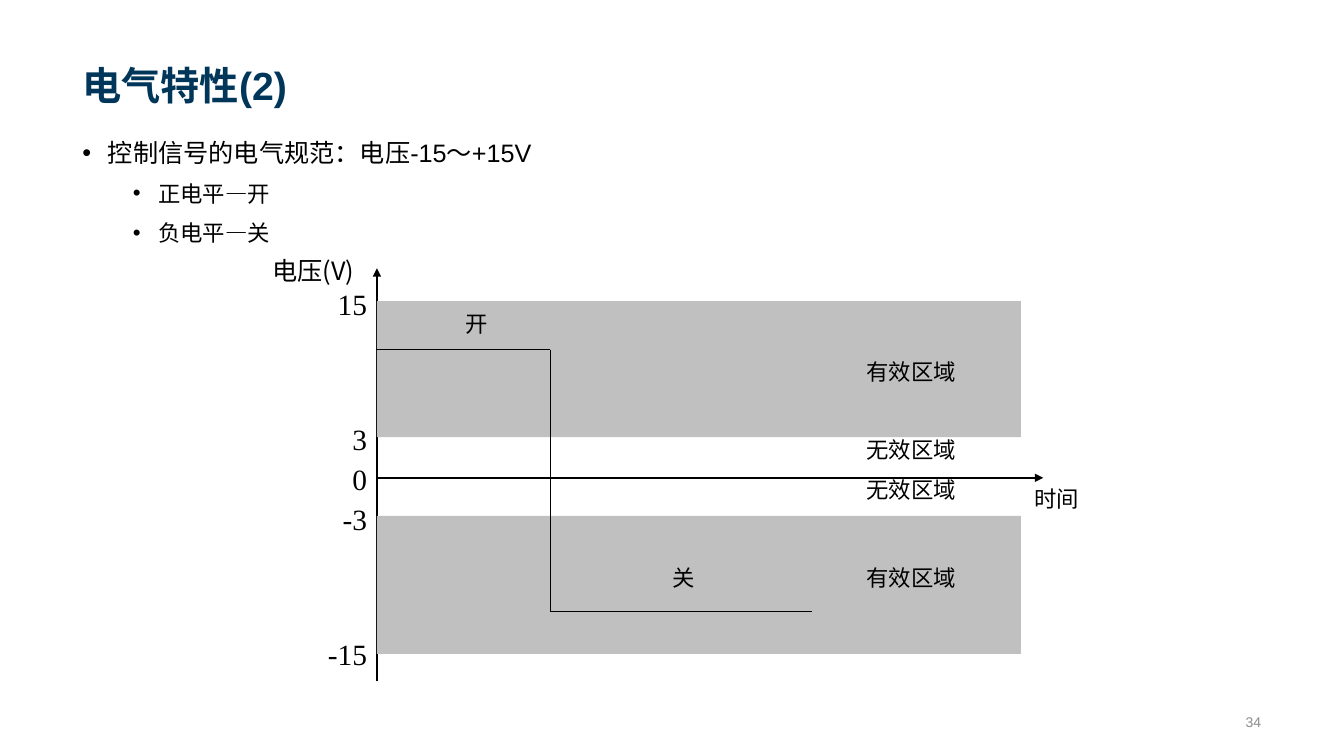
from dataclasses import dataclass

import pptx
import pptx.dml.color
import pptx.enum.shapes
import pptx.enum.text
import pptx.oxml.ns
import pptx.util
from lxml import etree

Cm = pptx.util.Cm
Pt = pptx.util.Pt
ALIGN = pptx.enum.text.PP_ALIGN
ANCHOR = pptx.enum.text.MSO_ANCHOR
qn = pptx.oxml.ns.qn

COLORS = {"ink": "000000", "title": "003659", "number": "8C8C8C", "band": "C0C0C0"}
LATIN, CHINESE, SERIF = "Arial", "Noto Sans CJK SC", "Times New Roman"


# Repeated elements; all lengths are in centimetres
@dataclass
class Line:
    start: tuple[float, float]
    end: tuple[float, float]
    width: float = 0.75
    arrow: bool = False


@dataclass
class Band:
    top: float
    height: float


@dataclass
class Label:
    text: str
    left: float
    top: float
    width: float
    size: float = 16


@dataclass
class Bullet:
    text: str
    level: int
    size: float
    indent: float
    space_before: float


AXIS_X, ZERO_Y = 9.5, 12.04
BAND_WIDTH = 16.23
TICK_RIGHT, TICK_HEIGHT = 9.25, 0.89
DIGIT_WIDTH, MINUS_WIDTH = 0.38, 0.24
ZONE_LEFT, ZONE_WIDTH = 21.84, 2.29
HANGING = 0.64

AXES = [
    Line((AXIS_X, 17.17), (AXIS_X, 6.76), 1.5, True),
    Line((AXIS_X, ZERO_Y), (26.29, ZERO_Y), 1.5, True),
]
BANDS = [Band(7.59, 3.43), Band(13.0, 3.48)]
SIGNAL = [(9.47, 8.81), (13.87, 8.81), (13.87, 15.42), (20.47, 15.42)]
TICKS = {"15": 7.21, "3": 10.62, "0": 11.61, "-3": 12.62, "-15": 16.03}
ZONES = [("有效区域", 9.02), ("无效区域", 11.0), ("无效区域", 12.01), ("有效区域", 14.22)]
LABELS = [Label(text, ZONE_LEFT, top, ZONE_WIDTH) for text, top in ZONES] + [
    Label("时间", 26.06, 12.22, 1.14),
    Label("电压(V)", 6.86, 6.43, 2.24, 18),
    Label("开", 11.73, 7.82, 0.56),
    Label("关", 16.94, 14.22, 0.56),
]
BULLETS = [
    Bullet("控制信号的电气规范：电压-15～+15V", 0, 18, 0.64, 0),
    Bullet("正电平—开", 1, 16, 1.91, 5),
    Bullet("负电平—关", 1, 16, 1.91, 5),
]


def color(name: str) -> pptx.dml.color.RGBColor:
    return pptx.dml.color.RGBColor.from_string(COLORS[name])


def write(paragraph, text: str, *, size: float, font: str = LATIN, ink: str = "ink",
          bold: bool = False, align=ALIGN.LEFT) -> None:
    paragraph.alignment = align
    run = paragraph.add_run()
    run.text = text
    run.font.name = font
    run.font.size = Pt(size)
    run.font.bold = bold
    run.font.color.rgb = color(ink)
    etree.SubElement(run.font._element, qn("a:ea"), typeface=CHINESE)


def add_box(slide, left: float, top: float, width: float, height: float, *,
            anchor=ANCHOR.TOP, fitted: bool = False):
    frame = slide.shapes.add_textbox(Cm(left), Cm(top), Cm(width), Cm(height)).text_frame
    frame.word_wrap = not fitted
    frame.vertical_anchor = anchor
    if fitted:
        frame.auto_size = pptx.enum.text.MSO_AUTO_SIZE.SHAPE_TO_FIT_TEXT
        frame.margin_left = frame.margin_right = 0
        frame.margin_top = frame.margin_bottom = 0
    return frame


def add_line(slide, line: Line) -> None:
    connector = slide.shapes.add_connector(
        pptx.enum.shapes.MSO_CONNECTOR.STRAIGHT, *map(Cm, line.start + line.end))
    connector.line.color.rgb = color("ink")
    connector.line.width = Pt(line.width)
    if line.arrow:
        etree.SubElement(connector.line._get_or_add_ln(), qn("a:tailEnd"), type="triangle")
    etree.SubElement(connector._element.spPr, qn("a:effectLst"))


def add_band(slide, band: Band) -> None:
    shape = slide.shapes.add_shape(pptx.enum.shapes.MSO_SHAPE.RECTANGLE, Cm(AXIS_X),
                                   Cm(band.top), Cm(BAND_WIDTH), Cm(band.height))
    shape.shadow.inherit = False
    shape.fill.solid()
    shape.fill.fore_color.rgb = color("band")
    shape.line.fill.background()


def add_label(slide, label: Label) -> None:
    frame = add_box(slide, label.left, label.top, label.width, label.size * 0.043, fitted=True)
    write(frame.paragraphs[0], label.text, size=label.size, font=CHINESE)


def add_tick(slide, text: str, top: float) -> None:
    width = sum(MINUS_WIDTH if mark == "-" else DIGIT_WIDTH for mark in text)
    frame = add_box(slide, TICK_RIGHT - width, top, width, TICK_HEIGHT, fitted=True)
    write(frame.paragraphs[0], text, size=21, font=SERIF, align=ALIGN.RIGHT)


def add_bullets(slide, bullets: list[Bullet]) -> None:
    frame = add_box(slide, 1.83, 3.18, 27.1, 3.28)
    for index, bullet in enumerate(bullets):
        paragraph = frame.add_paragraph() if index else frame.paragraphs[0]
        paragraph.level = bullet.level
        paragraph.line_spacing = 1.2
        paragraph.space_before = Pt(bullet.space_before)
        properties = paragraph._p.get_or_add_pPr()
        properties.set("marL", str(Cm(bullet.indent)))
        properties.set("indent", str(-Cm(HANGING)))
        etree.SubElement(properties, qn("a:buFont"), typeface=LATIN)
        etree.SubElement(properties, qn("a:buChar"), char="•")
        write(paragraph, bullet.text, size=bullet.size)


def main() -> None:
    presentation = pptx.Presentation()
    presentation.slide_width, presentation.slide_height = Cm(33.87), Cm(19.05)
    slide = presentation.slides.add_slide(presentation.slide_layouts[6])

    # Page number, title and bullets
    number = add_box(slide, 21.59, 17.81, 10.44, 0.76, anchor=ANCHOR.MIDDLE)
    write(number.paragraphs[0], "34", size=10, ink="number", align=ALIGN.RIGHT)
    title = add_box(slide, 1.83, 0.36, 30.18, 2.49, anchor=ANCHOR.BOTTOM)
    write(title.paragraphs[0], "电气特性(2)", size=28, ink="title", bold=True)
    add_bullets(slide, BULLETS)

    # Axes, valid bands and the signal
    for axis in AXES:
        add_line(slide, axis)
    for band in BANDS:
        add_band(slide, band)
    for start, end in zip(SIGNAL, SIGNAL[1:]):
        add_line(slide, Line(start, end))

    # Diagram text
    for label in LABELS:
        add_label(slide, label)
    for text, top in TICKS.items():
        add_tick(slide, text, top)

    presentation.save("out.pptx")


if __name__ == "__main__":
    main()
